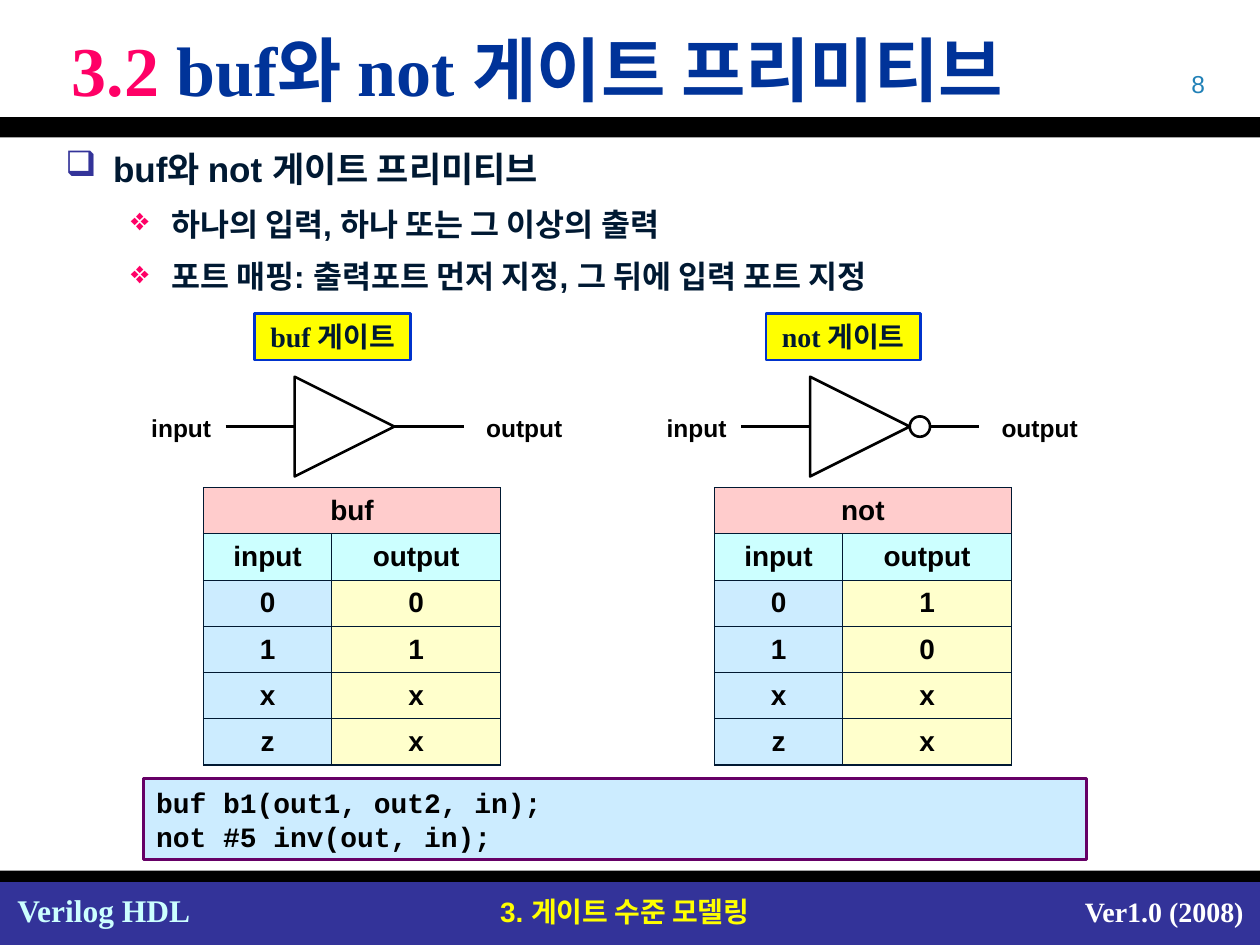
from typing import NamedTuple

from lxml.etree import SubElement
from pptx import Presentation
from pptx.dml.color import RGBColor
from pptx.enum.shapes import MSO_CONNECTOR, MSO_SHAPE
from pptx.enum.text import MSO_ANCHOR, MSO_AUTO_SIZE, PP_ALIGN
from pptx.oxml.ns import qn
from pptx.util import Cm, Pt

BLACK = RGBColor(0x00, 0x00, 0x00)
WHITE = RGBColor(0xFF, 0xFF, 0xFF)
INK = RGBColor(0x00, 0x19, 0x32)
INDIGO = RGBColor(0x33, 0x33, 0x99)
NAVY = RGBColor(0x00, 0x33, 0x99)
BLUE = RGBColor(0x00, 0x33, 0xCC)
TEAL = RGBColor(0x21, 0x81, 0xB7)
PINK = RGBColor(0xFF, 0x00, 0x66)
PURPLE = RGBColor(0x66, 0x00, 0x66)
YELLOW = RGBColor(0xFF, 0xFF, 0x00)
ROSE = RGBColor(0xFF, 0xCC, 0xCC)
CYAN = RGBColor(0xCC, 0xFF, 0xFF)
SKY = RGBColor(0xCC, 0xEC, 0xFF)
CREAM = RGBColor(0xFF, 0xFF, 0xCC)

ARIAL, TIMES, COURIER = "Arial", "Times New Roman", "Courier New"


class Box(NamedTuple):
    left: float
    top: float
    width: float
    height: float

    def emu(self) -> list:
        return [Cm(v) for v in self]


class Style(NamedTuple):
    size: float
    font: str
    color: RGBColor
    bold: bool = True


class Bullet(NamedTuple):
    text: str
    char: str
    color: RGBColor
    size: float
    margin: float
    hang: float
    level: int


class Gate(NamedTuple):
    name: str
    wire_left: float
    table_left: float
    label: Box
    outputs: str
    inverted: bool


GATES = [
    Gate("buf", 4.55, 4.1, Box(5.13, 6.32, 3.15, 0.94), "01xx", False),
    Gate("not", 14.94, 14.4, Box(15.44, 6.32, 3.12, 0.94), "10xx", True),
]
BULLETS = [
    Bullet("buf와 not 게이트 프리미티브", "❑", INDIGO, 20, 0.96, 0.96, 0),
    Bullet("하나의 입력, 하나 또는 그 이상의 출력", "❖", PINK, 18, 2.13, 0.81, 1),
    Bullet("포트 매핑: 출력포트 먼저 지정, 그 뒤에 입력 포트 지정", "❖", PINK, 18, 2.13, 0.81, 1),
]


def style_run(r, style: Style) -> None:
    r.font.size = Pt(style.size)
    r.font.name = style.font
    r.font.bold = style.bold
    r.font.color.rgb = style.color


def write(tf, text: str, style: Style, align=PP_ALIGN.LEFT) -> None:
    tf.text = text
    for p in tf.paragraphs:
        p.alignment = align
        for r in p.runs:
            style_run(r, style)


def add_text(shapes, box: Box, text: str, style: Style, align=PP_ALIGN.LEFT) -> None:
    sp = shapes.add_textbox(*box.emu())
    sp.text_frame.word_wrap = True
    write(sp.text_frame, text, style, align)


def add_shape(shapes, kind, box: Box, fill=None, line=None):
    sp = shapes.add_shape(kind, *box.emu())
    sp.shadow.inherit = False
    if fill is None:
        sp.fill.background()
    else:
        sp.fill.solid()
        sp.fill.fore_color.rgb = fill
    if line is None:
        sp.line.fill.background()
    else:
        sp.line.color.rgb = line
        sp.line.width = Pt(1.5)
    return sp


def add_wire(shapes, x1: float, x2: float, y: float) -> None:
    cx = shapes.add_connector(MSO_CONNECTOR.STRAIGHT, Cm(x1), Cm(y), Cm(x2), Cm(y))
    cx.line.color.rgb = BLACK
    cx.line.width = Pt(1.5)
    SubElement(cx._element.spPr, qn("a:effectLst"))


def draw_symbol(s, gate: Gate) -> None:
    shapes = s.shapes.add_group_shape().shapes
    x, mid, side, bubble = gate.wire_left, 8.6, 2.01, 0.41
    body = x + 1.39
    tip = body + side
    triangle = Box(body, mid - side / 2, side, side)
    add_shape(shapes, MSO_SHAPE.ISOSCELES_TRIANGLE, triangle, line=BLACK).rotation = 90
    add_wire(shapes, x, body, mid)
    add_wire(shapes, tip + bubble * gate.inverted, x + 4.8, mid)
    if gate.inverted:
        add_shape(shapes, MSO_SHAPE.OVAL, Box(tip, mid - bubble / 2, bubble, bubble), line=BLACK)
    style = Style(14, ARIAL, BLACK)
    add_text(shapes, Box(x - 1.75, 8.2, 1.85, 0.86), "input", style)
    add_text(shapes, Box(x + 5, 8.2, 2.2, 0.86), "output", style)


def format_cell(cell, fill: RGBColor) -> None:
    cell.vertical_anchor = MSO_ANCHOR.MIDDLE
    pr = cell._tc.get_or_add_tcPr()
    for side in ("lnL", "lnR", "lnT", "lnB"):
        ln = SubElement(pr, qn(f"a:{side}"), w=str(Pt(0.75)))
        solid = SubElement(ln, qn("a:solidFill"))
        SubElement(solid, qn("a:srgbClr"), val=str(INK))
    cell.fill.solid()
    cell.fill.fore_color.rgb = fill


def draw_truth_table(s, gate: Gate) -> None:
    rows = [(gate.name, ""), ("input", "output"), *zip("01xz", gate.outputs)]
    fills = [(ROSE, ROSE), (CYAN, CYAN)] + [(SKY, CREAM)] * 4
    height = 0.93
    box = Box(gate.table_left, 9.83, 5.99, height * len(rows))
    table = s.shapes.add_table(len(rows), 2, *box.emu()).table
    for column, width in zip(table.columns, (2.59, 3.4)):
        column.width = Cm(width)
    for i, (texts, colors) in enumerate(zip(rows, fills)):
        table.rows[i].height = Cm(height)
        for j, (text, color) in enumerate(zip(texts, colors)):
            cell = table.cell(i, j)
            format_cell(cell, color)
            write(cell.text_frame, text, Style(16, ARIAL, BLACK), PP_ALIGN.CENTER)
    table.cell(0, 0).merge(table.cell(0, 1))


def draw_label(s, gate: Gate) -> None:
    sp = add_shape(s.shapes, MSO_SHAPE.RECTANGLE, gate.label, YELLOW, BLUE)
    sp.text_frame.word_wrap = False
    write(sp.text_frame, f"{gate.name} 게이트", Style(16, TIMES, INK), PP_ALIGN.CENTER)


def draw_frame(s) -> None:
    for top, height, color in ((17.78, 1.27, INDIGO), (2.36, 0.41, BLACK), (17.55, 0.23, BLACK)):
        add_shape(s.shapes, MSO_SHAPE.RECTANGLE, Box(0, top, 25.4, height), color)
    add_text(s.shapes, Box(0.1, 17.83, 4.01, 1.02), "Verilog HDL", Style(18, TIMES, CYAN))
    add_text(s.shapes, Box(9.19, 17.91, 6.81, 0.94), "3. 게이트 수준 모델링",
             Style(16, ARIAL, YELLOW), PP_ALIGN.CENTER)
    add_text(s.shapes, Box(21.31, 17.91, 4.01, 0.94), "Ver1.0 (2008)",
             Style(16, TIMES, WHITE), PP_ALIGN.RIGHT)
    add_text(s.shapes, Box(18.62, 1.27, 5.92, 0.84), "8", Style(14, ARIAL, TEAL, False), PP_ALIGN.RIGHT)


def draw_title(s) -> None:
    sp = s.shapes.title
    sp.left, sp.top, sp.width, sp.height = Box(0.43, 0.33, 24.56, 2.11).emu()
    tf = sp.text_frame
    tf.auto_size = MSO_AUTO_SIZE.NONE
    tf.vertical_anchor = MSO_ANCHOR.MIDDLE
    p = tf.paragraphs[0]
    p.alignment = PP_ALIGN.LEFT
    p._p.get_or_add_pPr().set("marL", str(Cm(0.76)))
    for text, color in (("3.2", PINK), (" buf와 not 게이트 프리미티브", NAVY)):
        r = p.add_run()
        r.text = text
        style_run(r, Style(40, TIMES, color))


def draw_bullets(s) -> None:
    tf = s.shapes.add_textbox(*Box(1.07, 2.51, 23.5, 3.58).emu()).text_frame
    tf.word_wrap = True
    tf.text = "\n".join(b.text for b in BULLETS)
    for p, b in zip(tf.paragraphs, BULLETS):
        p.level = b.level
        p.line_spacing = 1.4
        pr = p._p.get_or_add_pPr()
        pr.set("marL", str(Cm(b.margin)))
        pr.set("indent", str(-Cm(b.hang)))
        color = SubElement(pr, qn("a:buClr"))
        SubElement(color, qn("a:srgbClr"), val=str(b.color))
        SubElement(pr, qn("a:buChar"), char=b.char)
        style_run(p.runs[0], Style(b.size, ARIAL, INK))


def draw_code(s) -> None:
    sp = add_shape(s.shapes, MSO_SHAPE.RECTANGLE, Box(2.9, 15.7, 19, 1.63), SKY, PURPLE)
    sp.text_frame.vertical_anchor = MSO_ANCHOR.MIDDLE
    write(sp.text_frame, "buf b1(out1, out2, in);\nnot #5 inv(out, in);", Style(16, COURIER, BLACK))


def main() -> None:
    prs = Presentation()
    prs.slide_width, prs.slide_height = Cm(25.4), Cm(19.05)
    s = prs.slides.add_slide(prs.slide_layouts[5])
    draw_frame(s)
    draw_title(s)
    for gate in GATES:
        draw_truth_table(s, gate)
        draw_symbol(s, gate)
        draw_label(s, gate)
    draw_code(s)
    draw_bullets(s)
    prs.save("out.pptx")


if __name__ == "__main__":
    main()
